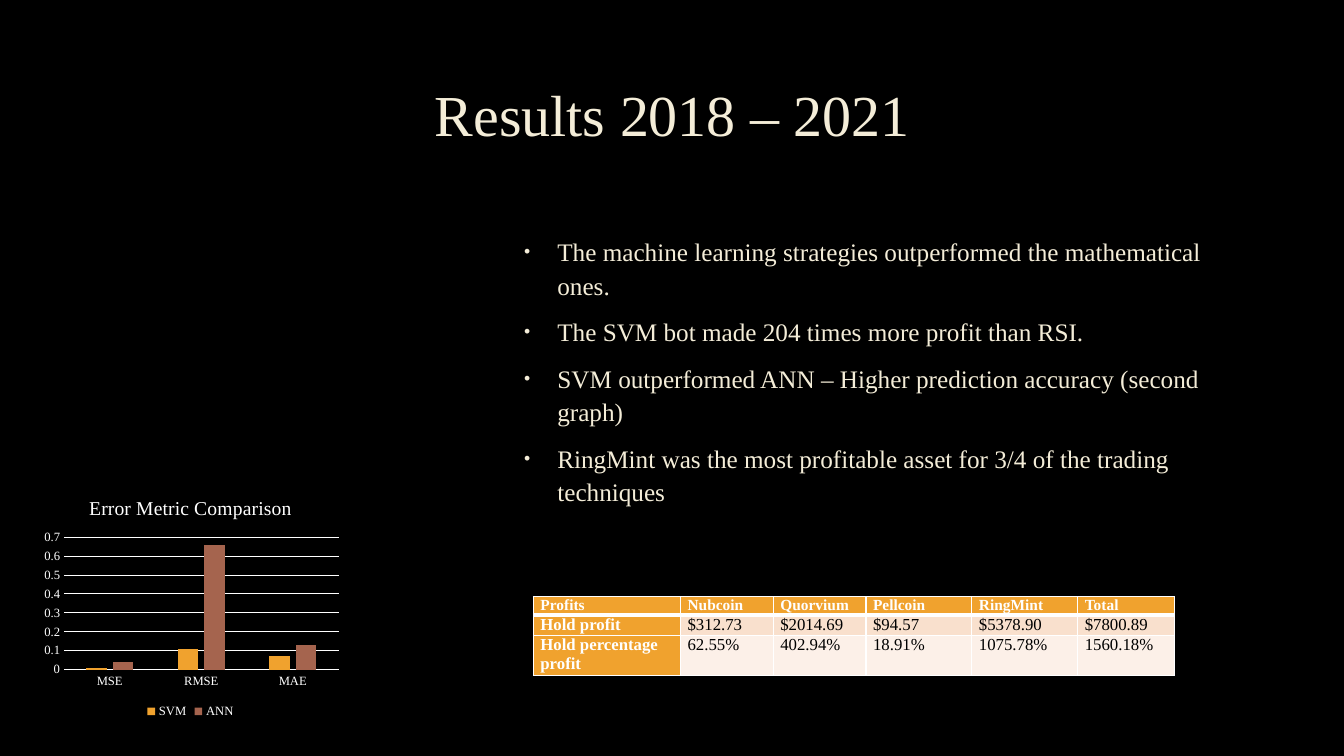
from lxml import etree
from pptx import Presentation
from pptx.chart.data import CategoryChartData
from pptx.dml.color import RGBColor
from pptx.enum.chart import XL_CHART_TYPE as ChartType, XL_LEGEND_POSITION as LegendPosition
from pptx.enum.chart import XL_TICK_MARK as TickMark
from pptx.enum.text import MSO_ANCHOR as Anchor, PP_ALIGN as Align
from pptx.oxml import parse_xml
from pptx.oxml.ns import nsdecls, qn
from pptx.util import Inches, Pt

COLORS = {
    "black": "000000", "white": "FFFFFF", "cream": "F4EDD8",
    "orange": "F0A22E", "brown": "A5644E", "band": "F9E0CD", "pale": "FCF0E8",
}
FONT = "Times New Roman"
FINDINGS = [
    "The machine learning strategies outperformed the mathematical ones.",
    "The SVM bot made 204 times more profit than RSI.",
    "SVM outperformed ANN – Higher prediction accuracy (second graph)",
    "RingMint was the most profitable asset for 3/4 of the trading techniques",
]
METRICS = ["MSE", "RMSE", "MAE"]
ERRORS = {
    "SVM": ("orange", [0.01, 0.11, 0.07]),
    "ANN": ("brown", [0.04, 0.66, 0.13]),
}
PROFITS = [
    ["Profits", "Nubcoin", "Quorvium", "Pellcoin", "RingMint", "Total"],
    ["Hold profit", "$312.73", "$2014.69", "$94.57", "$5378.90", "$7800.89"],
    ["Hold percentage profit", "62.55%", "402.94%", "18.91%", "1075.78%", "1560.18%"],
]
COLUMN_WIDTHS = [1.46, 0.92, 0.92, 1.05, 1.05, 0.96]
ROW_HEIGHTS = [0.17, 0.17, 0.36]


def rgb(color):
    return RGBColor.from_string(COLORS[color])


def apply(target, values):
    for attribute, value in values.items():
        setattr(target, attribute, value)


def style_font(font, size, color, bold=False):
    apply(font, {"name": FONT, "size": Pt(size), "bold": bold})
    font.color.rgb = rgb(color)


def add_text(slide, box, lines, size, paragraph_format, anchor):
    frame = slide.shapes.add_textbox(*map(Inches, box)).text_frame
    apply(frame, {"word_wrap": True, "vertical_anchor": anchor})
    frame.text = "\n".join(lines)
    for paragraph in frame.paragraphs:
        apply(paragraph, paragraph_format)
        style_font(paragraph.runs[0].font, size, "cream")
    return frame


def add_title(slide, box):
    title_format = {"alignment": Align.CENTER, "line_spacing": 0.9}
    add_text(slide, box, ["Results 2018 – 2021"], 41.4, title_format, Anchor.MIDDLE)


def add_findings(slide, box):
    spacing = {"line_spacing": 1.1, "space_before": Pt(3.6), "space_after": Pt(6)}
    findings = add_text(slide, box, FINDINGS, 18, spacing, Anchor.TOP)
    for paragraph in findings.paragraphs:
        properties = paragraph._p.get_or_add_pPr()
        properties.set("marL", str(Inches(0.38)))
        properties.set("indent", str(Inches(-0.33)))
        bullet_color = etree.SubElement(properties, qn("a:buClr"))
        etree.SubElement(bullet_color, qn("a:srgbClr"), val=COLORS["cream"])
        etree.SubElement(properties, qn("a:buSzPct"), val="70000")
        etree.SubElement(properties, qn("a:buFont"), typeface="Arial")
        etree.SubElement(properties, qn("a:buChar"), char="•")


def black_fill():
    return parse_xml(
        f'<c:spPr {nsdecls("c", "a")}><a:solidFill><a:srgbClr val="{COLORS["black"]}"/>'
        "</a:solidFill><a:ln><a:noFill/></a:ln></c:spPr>"
    )


def place_plot(plot_area, x, y, w, h):
    for old in plot_area.findall(qn("c:layout")):
        plot_area.remove(old)
    layout = etree.Element(qn("c:layout"))
    manual = etree.SubElement(layout, qn("c:manualLayout"))
    settings = {"layoutTarget": "inner", "xMode": "edge", "yMode": "edge",
                "x": x, "y": y, "w": w, "h": h}
    for tag, value in settings.items():
        etree.SubElement(manual, qn(f"c:{tag}"), val=str(value))
    plot_area.insert(0, layout)


def add_error_chart(slide, box):
    data = CategoryChartData()
    data.categories = METRICS
    for name, (_, errors) in ERRORS.items():
        data.add_series(name, errors)
    chart = slide.shapes.add_chart(
        ChartType.COLUMN_CLUSTERED, *map(Inches, box), data
    ).chart
    style_font(chart.font, 10, "white")

    chart.has_title = True
    heading = chart.chart_title.text_frame
    heading.text = "Error Metric Comparison"
    style_font(heading.paragraphs[0].runs[0].font, 14, "white")
    chart.chart_title.include_in_layout = False

    chart.has_legend = True
    apply(chart.legend, {"position": LegendPosition.BOTTOM, "include_in_layout": False})
    style_font(chart.legend.font, 9, "white")

    for axis in (chart.category_axis, chart.value_axis):
        apply(axis, {"major_tick_mark": TickMark.NONE, "minor_tick_mark": TickMark.NONE})
        style_font(axis.tick_labels.font, 9, "white")
    error_axis = chart.value_axis
    apply(error_axis, {"minimum_scale": 0, "maximum_scale": 0.7, "major_unit": 0.1})
    error_axis.format.line.fill.background()
    for line in (chart.category_axis.format.line, error_axis.major_gridlines.format.line):
        line.color.rgb = rgb("white")
        line.width = Pt(0.75)

    bars = chart.plots[0]
    apply(bars, {"gap_width": 219, "overlap": -27, "vary_by_categories": False})
    for series, (color, _) in zip(bars.series, ERRORS.values()):
        series.format.fill.solid()
        series.format.fill.fore_color.rgb = rgb(color)

    chart_root = chart._chartSpace.find(qn("c:chart"))
    chart_root.addnext(black_fill())
    plot_area = chart_root.find(qn("c:plotArea"))
    place_plot(plot_area, 0.09, 0.23, 0.89, 0.55)
    plot_area.append(black_fill())


def add_border(cell, side, width):
    border = etree.SubElement(cell._tc.get_or_add_tcPr(), qn(f"a:ln{side}"), w=str(Pt(width)))
    fill = etree.SubElement(border, qn("a:solidFill"))
    etree.SubElement(fill, qn("a:srgbClr"), val=COLORS["white"])


def add_profit_table(slide, box):
    profits = slide.shapes.add_table(
        len(PROFITS), len(PROFITS[0]), *map(Inches, box)
    ).table
    profits.first_col = True
    for column, width in zip(profits.columns, COLUMN_WIDTHS):
        column.width = Inches(width)
    for row, height in zip(profits.rows, ROW_HEIGHTS):
        row.height = Inches(height)
    cell_format = {"margin_left": Inches(0.07), "margin_right": Inches(0.07),
                   "margin_top": 0, "margin_bottom": 0}
    for r, entries in enumerate(PROFITS):
        for c, entry in enumerate(entries):
            cell = profits.cell(r, c)
            is_header = r == 0 or c == 0
            apply(cell, cell_format)
            cell.text = entry
            paragraph = cell.text_frame.paragraphs[0]
            paragraph.space_after = Pt(6)
            style_font(paragraph.runs[0].font, 11 if r == 0 else 12,
                       "white" if is_header else "black", is_header)
            borders = {"L": 1, "R": 1, "T": 3 if r == 1 else 1, "B": 3 if r == 0 else 1}
            for side, width in borders.items():
                add_border(cell, side, width)
            cell.fill.solid()
            cell.fill.fore_color.rgb = rgb("orange" if is_header else ("band", "pale")[r - 1])


def main():
    deck = Presentation()
    apply(deck, {"slide_width": Inches(13.33), "slide_height": Inches(7.5)})
    slide = deck.slides.add_slide(deck.slide_layouts[6])
    slide.background.fill.solid()
    slide.background.fill.fore_color.rgb = rgb("black")
    add_title(slide, (1.01, 0.82, 11.32, 0.69))
    add_findings(slide, (5.05, 2.27, 7.27, 4.06))
    add_error_chart(slide, (0.36, 4.78, 3.06, 2.39))
    add_profit_table(slide, (5.29, 5.92, sum(COLUMN_WIDTHS), sum(ROW_HEIGHTS)))
    deck.save("out.pptx")


if __name__ == "__main__":
    main()
